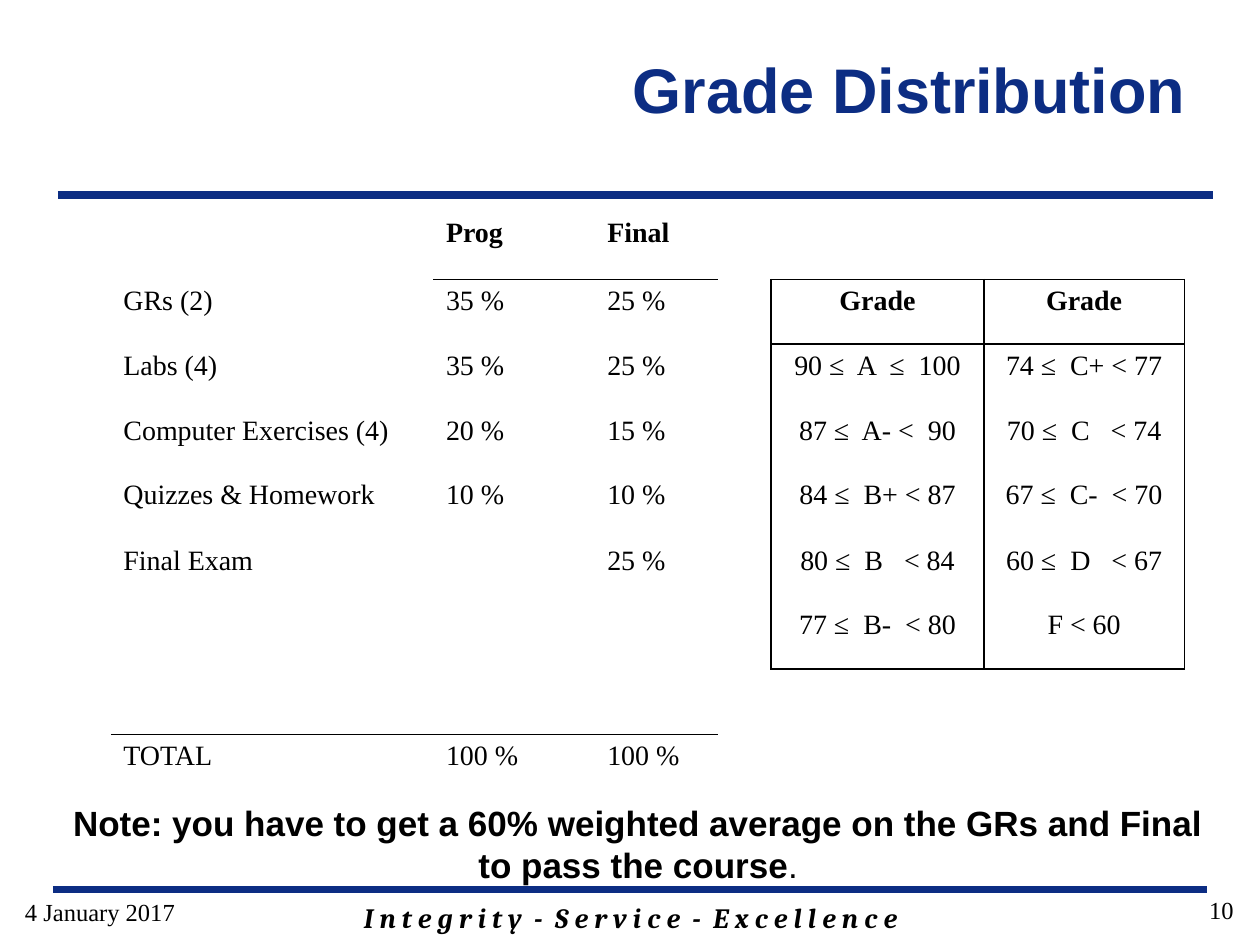
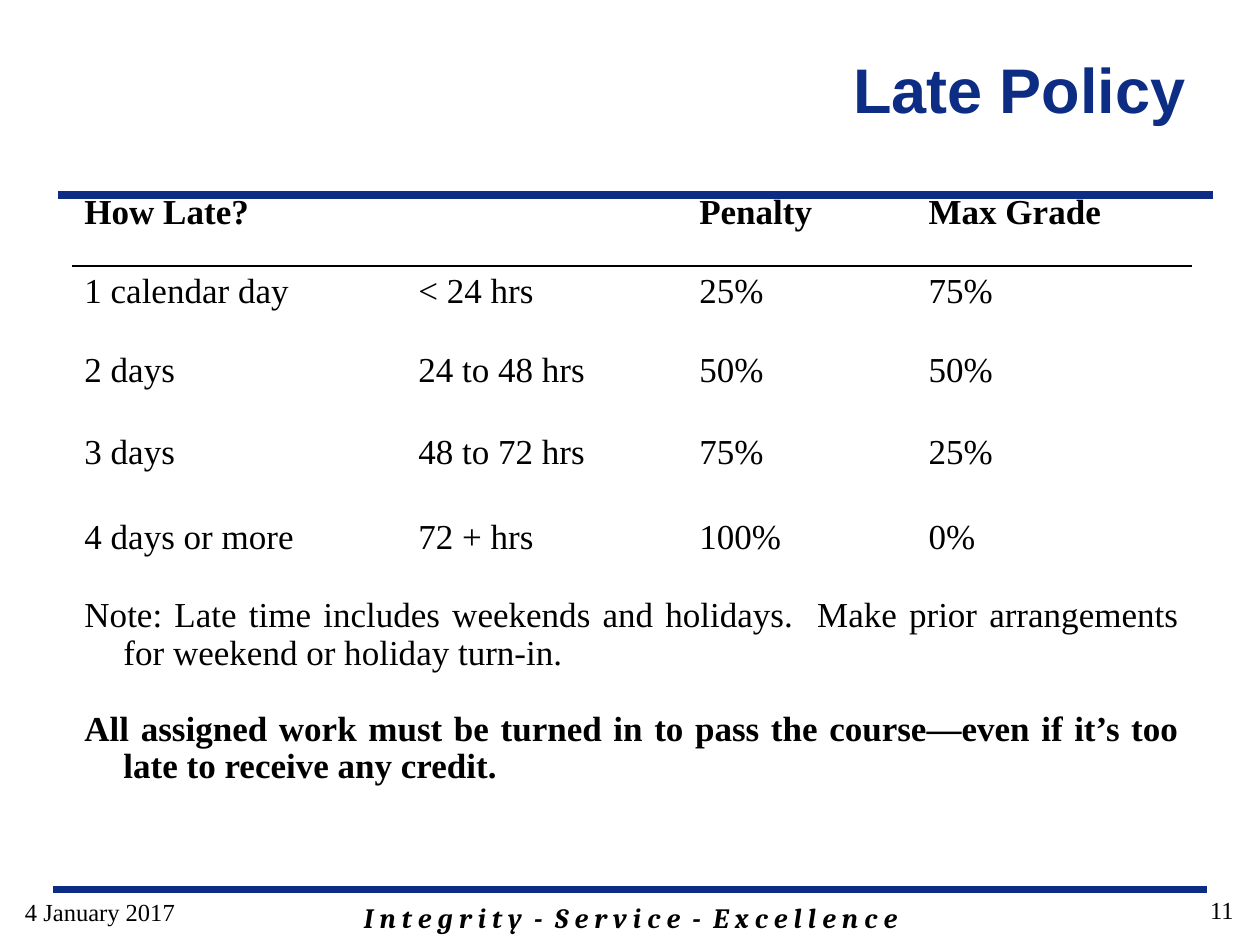
"""Build the grade distribution and late policy slides of a course briefing."""
from dataclasses import dataclass
from typing import NamedTuple

from lxml import etree
from pptx import Presentation
from pptx.dml.color import RGBColor
from pptx.enum.shapes import MSO_CONNECTOR
from pptx.enum.text import MSO_ANCHOR, PP_ALIGN
from pptx.oxml.ns import qn
from pptx.util import Inches, Pt

LEFT, CENTER, RIGHT = PP_ALIGN.LEFT, PP_ALIGN.CENTER, PP_ALIGN.RIGHT
JUSTIFY = PP_ALIGN.JUSTIFY
TOP, MIDDLE, BOTTOM = MSO_ANCHOR.TOP, MSO_ANCHOR.MIDDLE, MSO_ANCHOR.BOTTOM
STRAIGHT = MSO_CONNECTOR.STRAIGHT
NAVY, BLACK = "0C2D83", "000000"
SANS, SERIF, MOTTO_FONT = "Arial", "Times New Roman", "Cambria"
TITLE_ONLY = 5
PLAIN_TABLE_STYLE = "{2D5ABB26-0587-4C30-8999-92F81FD0307C}"
HANGING = 0.31
DATE = "4 January 2017"
MOTTO = "I n t e g r i t y  -  S e r v i c e  -  E x c e l l e n c e"


class Area(NamedTuple):
    left: float
    top: float
    width: float
    height: float

    def lengths(self) -> list:
        return [Inches(value) for value in self]


class Band(NamedTuple):
    left: float
    right: float
    y: float


class Style(NamedTuple):
    font: str
    size: float
    color: str = BLACK
    bold: bool = False
    italic: bool = False


class Edge(NamedTuple):
    side: str
    rows: range
    columns: range


@dataclass
class Grid:
    area: Area
    widths: list[float]
    heights: list[float]
    rows: list[list[str]]
    edges: list[Edge]
    size: float
    centered: range = range(0)
    bold_cells: tuple = ()


BANDS = [Band(0.42, 9.58, 7.06), Band(0.46, 9.63, 1.55)]
TITLE_AREA = Area(2.09, 0.08, 7.42, 1.25)
MOTTO_AREA = Area(1.42, 7.1, 7.17, 0.37)
NUMBER_AREA = Area(7.56, 6.84, 2.33, 0.52)
DATE_AREA = Area(0.1, 6.85, 2.33, 0.52)
TITLE_STYLE = Style(SANS, 36, NAVY, bold=True)
MOTTO_STYLE = Style(MOTTO_FONT, 16, bold=True, italic=True)
FOOTER_STYLE = Style(SERIF, 14)
NOTE_STYLE = Style(SANS, 20, bold=True)

GRADES = Grid(
    area=Area(0.88, 1.68, 8.53, 4.67),
    widths=[2.56, 1.28, 0.98, 0.42, 1.69, 1.59],
    heights=[0.54, 0.51, 0.52, 0.51, 0.52, 0.51, 0.52, 0.52, 0.51],
    rows=[
        ["", "Prog", "Final", "", "", ""],
        ["GRs (2)", "35 %", "25 %", "", "Grade", "Grade"],
        ["Labs (4)", "35 %", "25 %", "", "90 ≤  A  ≤  100", "74 ≤  C+ < 77"],
        ["Computer Exercises (4)", "20 %", "15 %", "", "87 ≤  A- <  90", "70 ≤  C   < 74"],
        ["Quizzes & Homework", "10 %", "10 %", "", "84 ≤  B+ < 87", "67 ≤  C-  < 70"],
        ["Final Exam", "", "25 %", "", "80 ≤  B   < 84", "60 ≤  D   < 67"],
        ["", "", "", "", "77 ≤  B-  < 80", "F < 60"],
        ["", "", "", "", "", ""],
        ["TOTAL", "100 %", "100 %", "", "", ""],
    ],
    edges=[
        Edge("L", range(1, 7), range(4, 5)),
        Edge("R", range(1, 7), range(5, 6)),
        Edge("T", range(1, 2), range(4, 6)),
        Edge("B", range(6, 7), range(4, 6)),
        Edge("B", range(0, 1), range(1, 3)),
        Edge("B", range(7, 8), range(0, 3)),
    ],
    size=16,
    centered=range(4, 6),
    bold_cells=((0, 1), (0, 2), (1, 4), (1, 5)),
)

LATE_POLICY = Grid(
    area=Area(0.57, 1.48, 8.89, 5.64),
    widths=[2.65, 2.23, 1.82, 2.19],
    heights=[0.63, 0.63, 0.65, 0.67, 0.63, 2.43],
    rows=[
        ["How Late?", "", "Penalty", "Max Grade"],
        ["1 calendar day", "< 24 hrs", "25%", "75%"],
        ["2 days", "24 to 48 hrs", "50%", "50%"],
        ["3 days", "48 to 72 hrs", "75%", "25%"],
        ["4 days or more", "72 + hrs", "100%", "0%"],
        ["", "", "", ""],
    ],
    edges=[Edge("B", range(0, 1), range(0, 4))],
    size=20,
    bold_cells=((0, 0), (0, 2), (0, 3)),
)


def rgb(color: str) -> RGBColor:
    return RGBColor.from_string(color)


def add_span(para, text: str, style: Style) -> None:
    span = para.add_run()
    span.text = text
    font = span.font
    font.name, font.size = style.font, Pt(style.size)
    font.bold, font.italic = style.bold, style.italic
    font.color.rgb = rgb(style.color)


def add_text(page, area: Area, spans: list[tuple[str, Style]], align=CENTER, anchor=TOP):
    frame = page.shapes.add_textbox(*area.lengths()).text_frame
    frame.word_wrap = True
    frame.vertical_anchor = anchor
    para = frame.paragraphs[0]
    para.alignment = align
    for text, style in spans:
        add_span(para, text, style)
    return frame


def add_band(page, band: Band) -> None:
    line = page.shapes.add_connector(
        STRAIGHT, Inches(band.left), Inches(band.y), Inches(band.right), Inches(band.y))
    line.line.color.rgb = rgb(NAVY)
    line.line.width = Pt(4.5)
    etree.SubElement(line._element.spPr, qn("a:effectLst"))


def add_page(deck, title: str, number: int):
    page = deck.slides.add_slide(deck.slide_layouts[TITLE_ONLY])
    for band in BANDS:
        add_band(page, band)
    add_text(page, MOTTO_AREA, [(MOTTO, MOTTO_STYLE)])
    for area, text, align in ((NUMBER_AREA, str(number), RIGHT), (DATE_AREA, DATE, LEFT)):
        frame = add_text(page, area, [(text, FOOTER_STYLE)], align, BOTTOM)
        frame.margin_bottom = Inches(0.02)
    heading = page.shapes.title
    heading.left, heading.top, heading.width, heading.height = TITLE_AREA.lengths()
    heading.text_frame.vertical_anchor = MIDDLE
    para = heading.text_frame.paragraphs[0]
    para.alignment = RIGHT
    add_span(para, title, TITLE_STYLE)
    return page


def add_cell_text(para, text: str, style: Style, align=JUSTIFY) -> None:
    para.alignment = align
    properties = para._p.get_or_add_pPr()
    properties.set("marL", str(Inches(HANGING)))
    properties.set("indent", str(-Inches(HANGING)))
    add_span(para, text, style)


def add_border(cell, side: str) -> None:
    border = etree.SubElement(
        cell._tc.get_or_add_tcPr(), qn(f"a:ln{side}"), w=str(Pt(1)))
    fill = etree.SubElement(border, qn("a:solidFill"))
    etree.SubElement(fill, qn("a:srgbClr"), val=BLACK)


def add_grid(page, grid: Grid):
    table = page.shapes.add_table(
        len(grid.heights), len(grid.widths), *grid.area.lengths()).table
    table.first_row = table.horz_banding = False
    table._tbl.tblPr.find(qn("a:tableStyleId")).text = PLAIN_TABLE_STYLE
    for column, width in zip(table.columns, grid.widths):
        column.width = Inches(width)
    for row, height in zip(table.rows, grid.heights):
        row.height = Inches(height)
    for edge in grid.edges:
        for row in edge.rows:
            for column in edge.columns:
                add_border(table.cell(row, column), edge.side)
    for row, texts in enumerate(grid.rows):
        for column, text in enumerate(texts):
            cell = table.cell(row, column)
            cell.fill.background()
            if text:
                style = Style(SERIF, grid.size, bold=(row, column) in grid.bold_cells)
                align = CENTER if column in grid.centered else JUSTIFY
                add_cell_text(cell.text_frame.paragraphs[0], text, style, align)
    return table


def build_grades(deck) -> None:
    page = add_page(deck, "Grade Distribution", 10)
    table = add_grid(page, GRADES)
    table.cell(0, 3).merge(table.cell(0, 5))
    add_text(page, Area(0.4, 6.31, 9.33, 0.77), [
        ("Note: you have to get a 60% weighted average on the GRs and Final "
         "to pass the course", NOTE_STYLE),
        (".", NOTE_STYLE._replace(bold=False)),
    ])


def build_late_policy(deck) -> None:
    page = add_page(deck, "Late Policy", 11)
    table = add_grid(page, LATE_POLICY)
    notes = table.cell(5, 0)
    notes.merge(table.cell(5, 3))
    style = Style(SERIF, LATE_POLICY.size)
    weekend = notes.text_frame.paragraphs[0]
    add_cell_text(weekend, "Note: Late time includes weekends and holidays.  Make prior "
                  "arrangements for weekend or holiday turn-in.", style)
    required = notes.text_frame.add_paragraph()
    add_cell_text(required, "All assigned work must be turned in to pass the course—even "
                  "if it’s too late to receive any credit.", style._replace(bold=True))
    weekend.line_spacing = required.line_spacing = 0.97
    required.space_before = Pt(22)


def main() -> None:
    deck = Presentation()
    deck.slide_width, deck.slide_height = Inches(10), Inches(7.5)
    build_grades(deck)
    build_late_policy(deck)
    deck.save("out.pptx")


if __name__ == "__main__":
    main()
